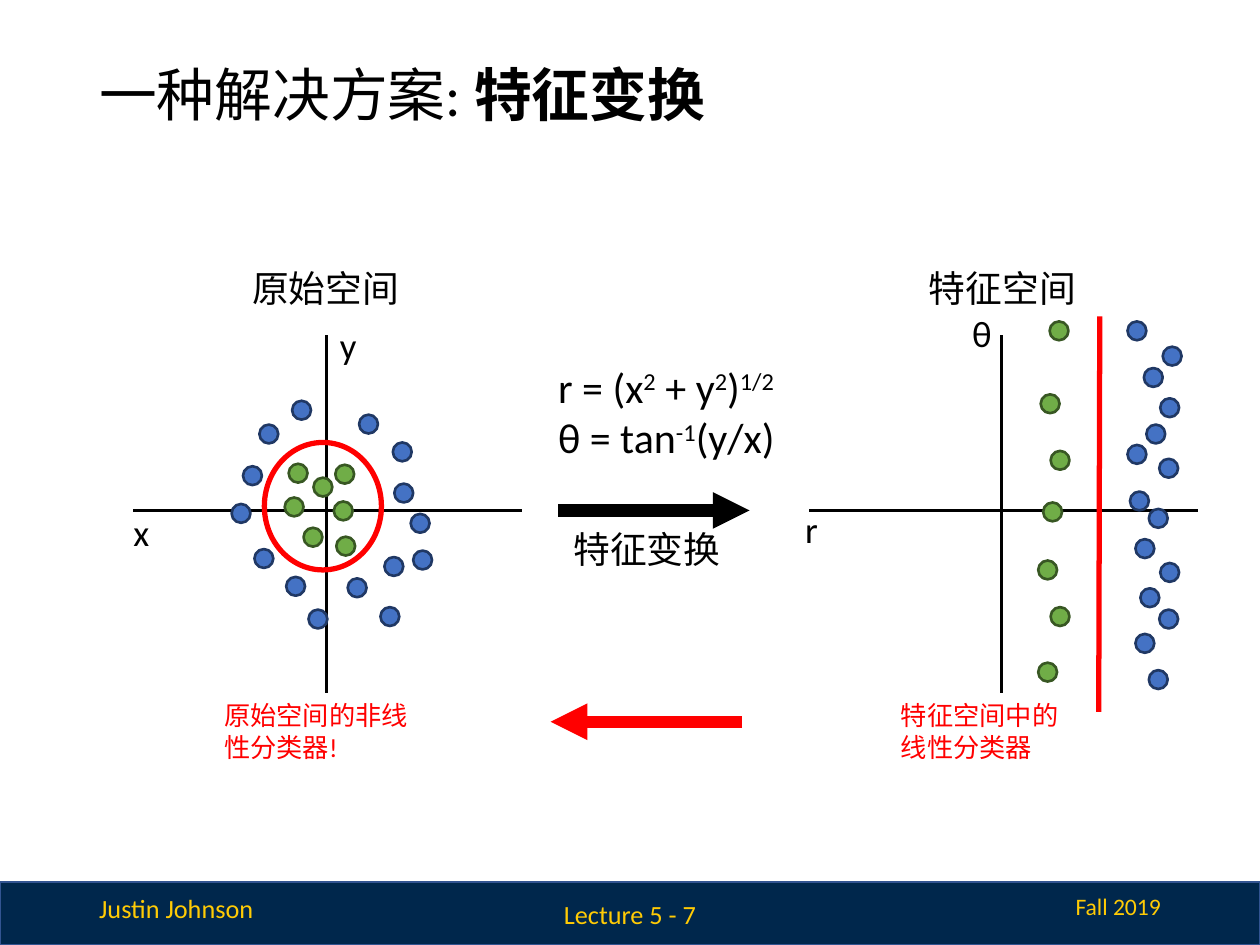
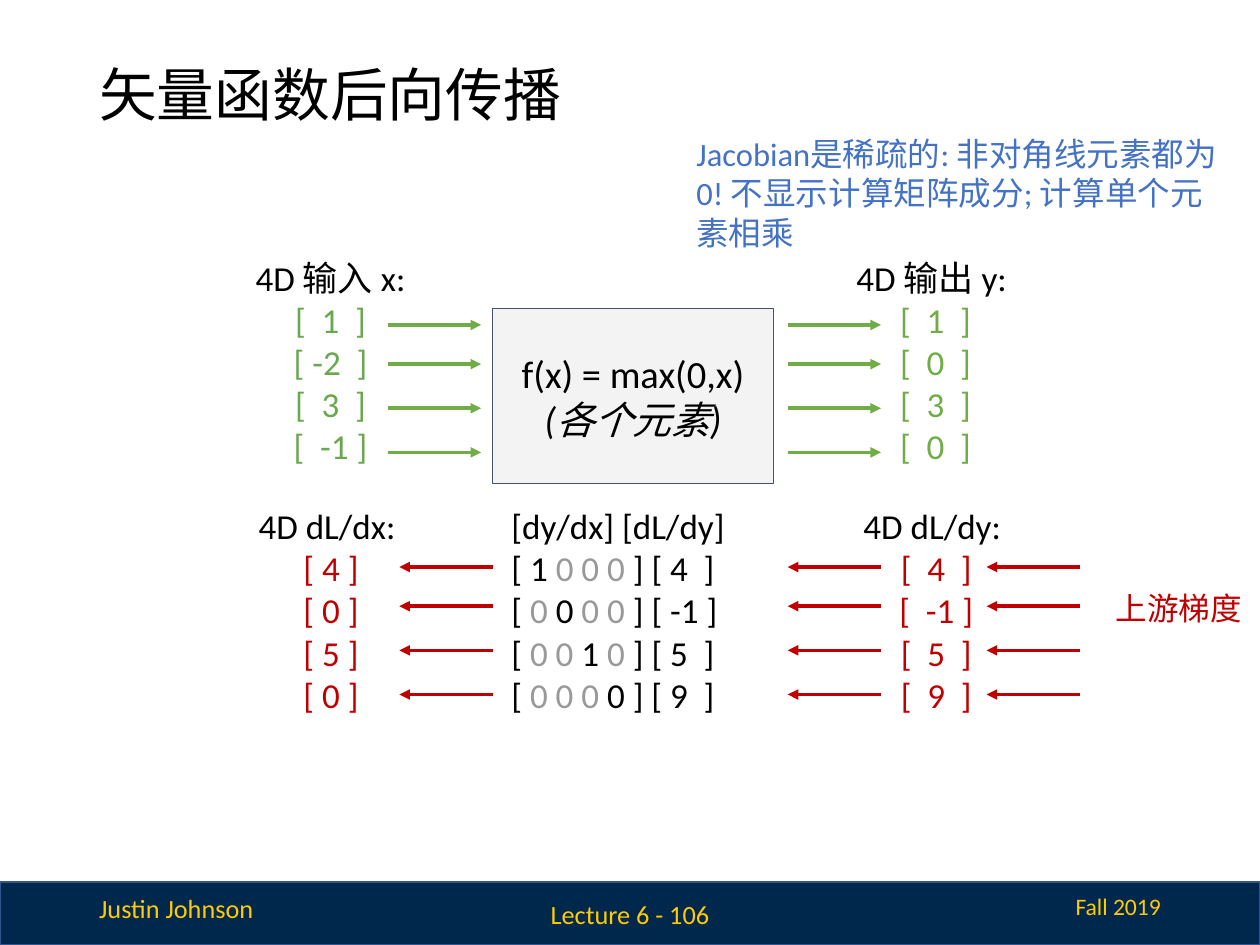
from dataclasses import dataclass

from lxml.etree import SubElement
from pptx import Presentation
from pptx.dml.color import RGBColor
from pptx.enum.shapes import MSO_CONNECTOR, MSO_SHAPE
from pptx.enum.text import MSO_ANCHOR, PP_ALIGN
from pptx.oxml.ns import qn
from pptx.shapes.autoshape import Shape
from pptx.shapes.connector import Connector
from pptx.slide import Slide
from pptx.util import Cm, Pt

# Shared colours and type
FONT = "Calibri"
BLACK = RGBColor(0x00, 0x00, 0x00)
NAVY = RGBColor(0x00, 0x27, 0x4C)
BAND_LINE = RGBColor(0x32, 0x54, 0x91)
MAIZE = RGBColor(0xFF, 0xCB, 0x05)
GREEN = RGBColor(0x70, 0xAD, 0x47)
DARK_GREEN = RGBColor(0x38, 0x57, 0x23)
INPUT_GREEN = RGBColor(0x6A, 0xA8, 0x4F)
BLUE = RGBColor(0x44, 0x72, 0xC4)
DARK_BLUE = RGBColor(0x20, 0x38, 0x64)
RED = RGBColor(0xFF, 0x00, 0x00)
DARK_RED = RGBColor(0xC0, 0x00, 0x00)
GRAY = RGBColor(0x99, 0x99, 0x99)
PALE_GRAY = RGBColor(0xF3, 0xF3, 0xF3)
SLATE = RGBColor(0x44, 0x54, 0x6A)

LEFT, CENTER, RIGHT = PP_ALIGN.LEFT, PP_ALIGN.CENTER, PP_ALIGN.RIGHT
DOT_SIZE = 0.38


@dataclass
class Box:
    """Position and size in centimetres."""
    left: float
    top: float
    width: float
    height: float


@dataclass
class Span:
    text: str
    color: RGBColor = BLACK
    bold: bool = False
    italic: bool = False
    raised: bool = False


@dataclass
class TextStyle:
    size: float
    align: PP_ALIGN = CENTER
    anchor: MSO_ANCHOR = MSO_ANCHOR.TOP
    inset: float = 0.25
    wrap: bool = True
    line_spacing: float = 1.0


@dataclass
class DotGroup:
    fill: RGBColor
    outline: RGBColor
    corners: list[tuple[float, float]]


TITLE = TextStyle(33, LEFT, MSO_ANCHOR.MIDDLE, 0.13, line_spacing=0.9)
FOOTER_LEFT = TextStyle(15, LEFT, inset=0.13)
FOOTER_CENTER = TextStyle(15, CENTER, MSO_ANCHOR.MIDDLE, 0.13)
FOOTER_RIGHT = TextStyle(13.5, RIGHT, inset=0.13)
HEADING = TextStyle(21)
AXIS_NAME = TextStyle(21, anchor=MSO_ANCHOR.MIDDLE)
FORMULA = TextStyle(24, LEFT, inset=0.13, wrap=False)
CAPTION = TextStyle(15, LEFT, inset=0.13)
VECTOR = TextStyle(20)
MATRIX = TextStyle(20, LEFT)


def write(shape: Shape, lines: list[list[Span]], style: TextStyle) -> None:
    """Fill a shape with one paragraph per line of spans."""
    frame = shape.text_frame
    frame.word_wrap = style.wrap
    frame.vertical_anchor = style.anchor
    frame.margin_left = frame.margin_right = Cm(0.25)
    frame.margin_top = frame.margin_bottom = Cm(style.inset)
    for index, spans in enumerate(lines):
        paragraph = frame.add_paragraph() if index else frame.paragraphs[0]
        paragraph.alignment = style.align
        paragraph.line_spacing = style.line_spacing
        for span in spans:
            run = paragraph.add_run()
            run.text = span.text
            run.font.name = FONT
            run.font.size = Pt(style.size)
            run.font.bold = span.bold
            run.font.italic = span.italic
            run.font.color.rgb = span.color
            if span.raised:
                run._r.get_or_add_rPr().set("baseline", "30000")


def add_text(slide: Slide, box: Box, lines: list[list[Span]], style: TextStyle) -> None:
    shape = slide.shapes.add_textbox(
        Cm(box.left), Cm(box.top), Cm(box.width), Cm(box.height))
    write(shape, lines, style)


def add_label(slide: Slide, box: Box, text: str, style: TextStyle,
              color: RGBColor = BLACK) -> None:
    add_text(slide, box, [[Span(text, color)]], style)


def add_figure(slide: Slide, kind: MSO_SHAPE, box: Box, fill: RGBColor | None,
               outline: RGBColor, width: float) -> Shape:
    shape = slide.shapes.add_shape(
        kind, Cm(box.left), Cm(box.top), Cm(box.width), Cm(box.height))
    shape.shadow.inherit = False
    if fill is None:
        shape.fill.background()
    else:
        shape.fill.solid()
        shape.fill.fore_color.rgb = fill
    shape.line.color.rgb = outline
    shape.line.width = Pt(width)
    return shape


def add_line(slide: Slide, start: tuple[float, float], end: tuple[float, float],
             color: RGBColor, width: float) -> Connector:
    line = slide.shapes.add_connector(
        MSO_CONNECTOR.STRAIGHT, Cm(start[0]), Cm(start[1]), Cm(end[0]), Cm(end[1]))
    line.line.color.rgb = color
    line.line.width = Pt(width)
    SubElement(line._element.spPr, qn("a:effectLst"))
    return line


def add_arrow(slide: Slide, start_x: float, end_x: float, y: float,
              color: RGBColor, width: float) -> None:
    """Horizontal arrow with its head at end_x."""
    arrow = add_line(slide, (start_x, y), (end_x, y), color, width)
    SubElement(arrow.line._get_or_add_ln(), qn("a:tailEnd"), type="triangle")


def add_dots(slide: Slide, group: DotGroup) -> None:
    for left, top in group.corners:
        add_figure(slide, MSO_SHAPE.OVAL, Box(left, top, DOT_SIZE, DOT_SIZE),
                   group.fill, group.outline, 1.5)


def start_slide(presentation: Presentation, title: list[Span], number: str) -> Slide:
    """Blank slide with the shared footer band and title."""
    slide = presentation.slides.add_slide(presentation.slide_layouts[6])
    add_figure(slide, MSO_SHAPE.RECTANGLE, Box(0, 17.78, 25.4, 1.27), NAVY, BAND_LINE, 1)
    add_label(slide, Box(1.75, 17.86, 3.66, 0.89), "Justin Johnson", FOOTER_LEFT, MAIZE)
    add_label(slide, Box(18.62, 17.86, 5.03, 0.84), "Fall 2019", FOOTER_RIGHT, MAIZE)
    add_label(slide, Box(9.27, 17.91, 6.86, 1.02), number, FOOTER_CENTER, MAIZE)
    add_text(slide, Box(1.75, 1.02, 21.89, 1.9), [title], TITLE)
    return slide


# Top left corners of the sample dots
ORIGINAL_DOTS = [
    DotGroup(GREEN, DARK_GREEN, [
        (5.82, 9.35), (6.76, 9.37), (6.12, 10.64), (6.78, 10.82),
        (6.73, 10.11), (5.74, 10.03), (6.32, 9.63)]),
    DotGroup(BLUE, DARK_BLUE, [
        (5.23, 8.56), (5.89, 8.08), (7.24, 8.36), (7.95, 9.75), (7.75, 11.23),
        (7.01, 11.66), (5.77, 11.63), (5.13, 11.07), (4.67, 10.16), (4.9, 9.4),
        (7.92, 8.92), (8.33, 11.1), (6.22, 12.29), (8.28, 10.36), (7.67, 12.24)]),
]
FEATURE_DOTS = [
    DotGroup(BLUE, DARK_BLUE, [
        (23.37, 9.25), (23.11, 8.56), (22.89, 10.87), (23.16, 10.26), (22.89, 12.78),
        (22.99, 11.86), (23.16, 13.51), (23.44, 6.99), (23.06, 7.42), (23.39, 11.35),
        (23.37, 12.29), (22.73, 6.48), (22.73, 8.97), (23.39, 8.03), (22.78, 9.91)]),
    DotGroup(GREEN, DARK_GREEN, [
        (21.18, 9.09), (21.16, 6.48), (20.93, 11.3), (20.93, 13.36),
        (21.18, 12.24), (21.03, 10.13), (20.98, 7.95)]),
]


def build_feature_transform(presentation: Presentation) -> None:
    slide = start_slide(
        presentation, [Span("一种解决方案: "), Span("特征变换", bold=True)], "Lecture 5 - 7")

    # Axes and samples of both spaces
    axis_y = 10.29
    for center_x, left, right, dots in (
            (6.58, 2.69, 10.52, ORIGINAL_DOTS), (20.19, 16.31, 24.16, FEATURE_DOTS)):
        add_line(slide, (center_x, 6.76), (center_x, 13.97), BLACK, 2)
        add_line(slide, (left, axis_y), (right, axis_y), BLACK, 2)
        for group in dots:
            add_dots(slide, group)

    # Classifier boundaries
    add_figure(slide, MSO_SHAPE.OVAL, Box(5.33, 8.92, 2.36, 2.57), None, RED, 3)
    add_line(slide, (22.17, 6.38), (22.15, 14.35), RED, 3)

    # Axis names, headings and captions
    for name, left, top in (("x", 2.44, 10.34), ("y", 6.6, 6.58),
                            ("r", 15.98, 10.29), ("θ", 19.35, 6.32)):
        add_label(slide, Box(left, top, 0.76, 0.76), name, AXIS_NAME)
    for text, left, top, width in (("原始空间", 3.96, 5.11, 5.21),
                                   ("特征空间", 17.6, 5.11, 5.21),
                                   ("特征变换", 11.2, 10.36, 3.68)):
        add_label(slide, Box(left, top, width, 1.24), text, HEADING)
    for text, left, width in (("原始空间的非线性分类器!", 4.27, 4.52),
                              ("特征空间中的线性分类器", 17.91, 3.96)):
        add_label(slide, Box(left, 13.97, width, 1.55), text, CAPTION, RED)

    # Transform formula and the arrows between the spaces
    add_text(slide, Box(11, 7.16, 5.08, 2.31), [
        [Span("r = (x"), Span("2", raised=True), Span(" + y"), Span("2", raised=True),
         Span(")"), Span("1/2", raised=True)],
        [Span("θ = tan"), Span("-1", raised=True), Span("(y/x)")],
    ], FORMULA)
    add_arrow(slide, 11.25, 15.11, axis_y, BLACK, 7)
    add_arrow(slide, 14.96, 11.1, 14.55, RED, 7)


def matrix_row(row: int, diagonal: list[int], gradient: str) -> list[Span]:
    """Row of the sparse Jacobian: black on the diagonal, gray elsewhere."""
    cells = [Span(f"{diagonal[row]} ") if column == row else Span("0 ", GRAY)
             for column in range(len(diagonal))]
    return [Span("[ "), *cells, Span(f"] {gradient}")]


def build_vector_backprop(presentation: Presentation) -> None:
    slide = start_slide(presentation, [Span("矢量函数后向传播")], "Lecture 6 - 106")

    # Function box
    function_box = add_figure(slide, MSO_SHAPE.RECTANGLE, Box(9.93, 6.22, 5.66, 3.53),
                              PALE_GRAY, SLATE, 0.75)
    write(function_box, [[Span("f(x) = max(0,x)")], [Span("(各个元素)", italic=True)]],
          TextStyle(22, anchor=MSO_ANCHOR.MIDDLE))

    # Vectors
    forward_top, backward_top, height = 4.93, 9.93, 4.83
    upstream = ["[  4  ]", "[  -1 ]", "[  5  ]", "[  9  ]"]
    for heading, values, color, left, top, width in (
            ("4D 输入 x:", ["[  1  ]", "[ -2  ]", "[  3  ]", "[  -1 ]"],
             INPUT_GREEN, 4.62, forward_top, 4.09),
            ("4D 输出 y: ", ["[  1  ]", "[  0  ]", "[  3  ]", "[  0  ]"],
             GREEN, 16.56, forward_top, 4.6),
            ("4D dL/dx: ", ["[ 4 ]", "[ 0 ]", "[ 5 ]", "[ 0 ]"],
             DARK_RED, 4.72, backward_top, 3.91),
            ("4D dL/dy: ", upstream, DARK_RED, 16.26, backward_top, 5.23)):
        lines = [[Span(heading)]] + [[Span(value, color)] for value in values]
        add_text(slide, Box(left, top, width, height), lines, VECTOR)

    # Jacobian times upstream gradient
    products = ["[ 4  ]", "[ -1 ]", "[ 5  ]", "[ 9  ]"]
    rows = [matrix_row(row, [1, 0, 1, 0], product) for row, product in enumerate(products)]
    add_text(slide, Box(10.06, backward_top, 5.38, height),
             [[Span("[dy/dx] [dL/dy]")], *rows], MATRIX)

    # Forward arrows point right, backward arrows point left
    arrow_length, backward_shift = 1.88, 4.88
    for row_y in (6.55, 7.34, 8.23, 9.12):
        for left in (7.82, 15.88):
            add_arrow(slide, left, left + arrow_length, row_y, GREEN, 2)
        for left in (8.05, 15.88, 19.89):
            add_arrow(slide, left + arrow_length, left, row_y + backward_shift, DARK_RED, 2)

    # Remarks
    add_label(slide, Box(21.92, 11.63, 3.68, 1.93), "上游梯度", TextStyle(18), DARK_RED)
    add_label(slide, Box(13.79, 2.46, 11.3, 2.92),
              "Jacobian是稀疏的: 非对角线元素都为0! 不显示计算矩阵成分; 计算单个元素相乘",
              TextStyle(18.6, LEFT), BLUE)


def main() -> None:
    presentation = Presentation()
    presentation.slide_width, presentation.slide_height = Cm(25.4), Cm(19.05)
    build_feature_transform(presentation)
    build_vector_backprop(presentation)
    presentation.save("out.pptx")


if __name__ == "__main__":
    main()
